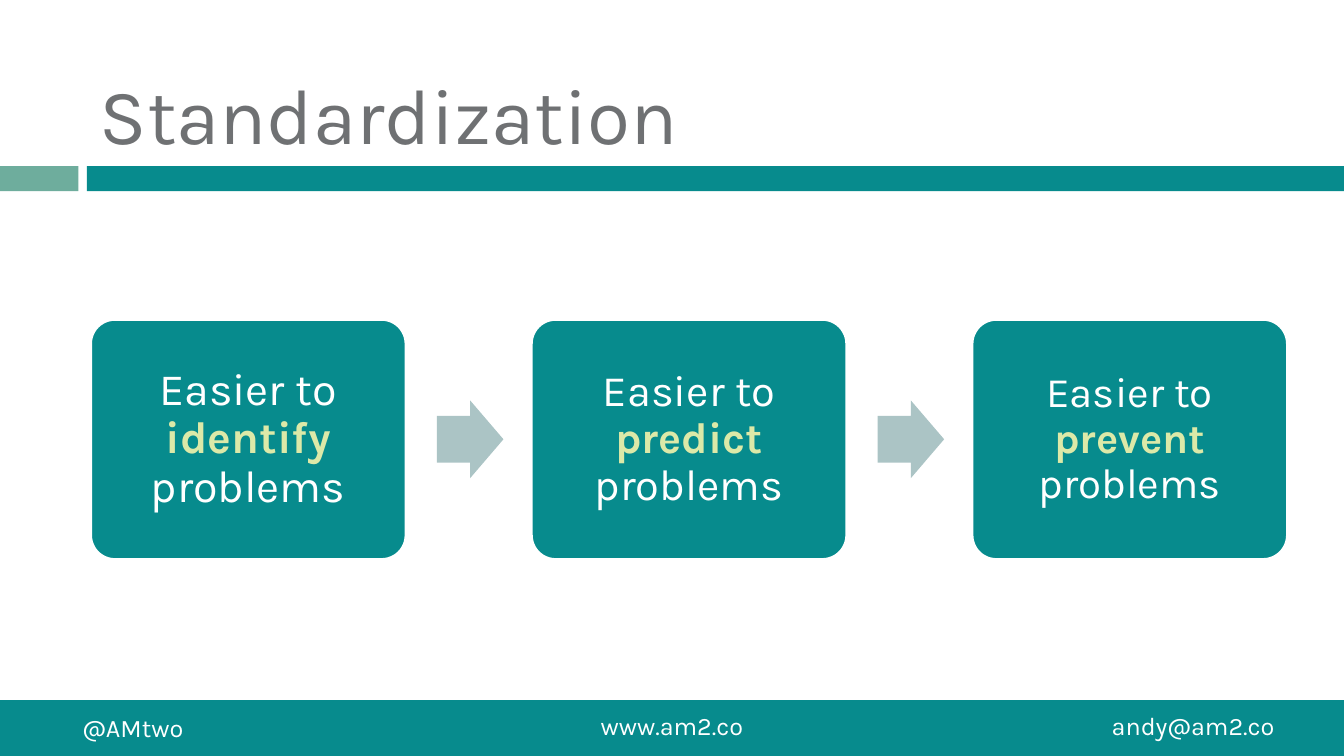
"""Build the Standardization slide: three linked benefit cards between a title bar and a footer."""
from dataclasses import dataclass

from pptx import Presentation
from pptx.dml.color import RGBColor
from pptx.enum.shapes import MSO_SHAPE
from pptx.enum.text import MSO_ANCHOR, MSO_AUTO_SIZE, PP_ALIGN
from pptx.util import Pt

RECTANGLE = MSO_SHAPE.RECTANGLE
ROUNDED = MSO_SHAPE.ROUNDED_RECTANGLE
ARROW = MSO_SHAPE.RIGHT_ARROW
LEFT, CENTER = PP_ALIGN.LEFT, PP_ALIGN.CENTER
MIDDLE, BOTTOM = MSO_ANCHOR.MIDDLE, MSO_ANCHOR.BOTTOM
NO_AUTOFIT = MSO_AUTO_SIZE.NONE


@dataclass(frozen=True)
class Theme:
    font: str = "Karla"
    teal: str = "078B8D"
    sage: str = "6EAD9D"
    mist: str = "ABC4C5"
    lime: str = "DCE9A8"
    gray: str = "6F7173"
    white: str = "FFFFFF"
    title_size: int = 56
    footer_size: int = 18
    card_sizes: tuple = (32, 31, 30)


theme = Theme()


def add_block(kind, left, top, width, height, color):
    block = slide.shapes.add_shape(kind, Pt(left), Pt(top), Pt(width), Pt(height))
    block.shadow.inherit = False
    block.fill.solid()
    block.fill.fore_color.rgb = RGBColor.from_string(color)
    block.line.fill.background()
    return block


def style_text(paragraph, size, color, align):
    paragraph.alignment = align
    paragraph.font.size = Pt(size)
    for run in paragraph.runs:
        run.font.name = theme.font
        run.font.size = Pt(size)
        run.font.color.rgb = RGBColor.from_string(color)


prs = Presentation()
prs.slide_width, prs.slide_height = Pt(960), Pt(540)
slide = prs.slides.add_slide(prs.slide_layouts[5])

add_block(RECTANGLE, 0, 118.6, 56, 18, theme.sage)
add_block(RECTANGLE, 62, 118.6, 898, 18, theme.teal)
add_block(RECTANGLE, 0, 500.2, 960, 39.8, theme.teal)

contacts = [
    ("@AMtwo", 51.8, 505.6, 93.6, LEFT),
    ("www.am2.co", 413.3, 504, 133.2, CENTER),
    ("andy@am2.co", 787, 504, 133.2, LEFT),
]
for contact, left, top, width, align in contacts:
    footer = slide.shapes.add_textbox(Pt(left), Pt(top), Pt(width), Pt(28.8)).text_frame
    footer.word_wrap = True
    footer.text = contact
    style_text(footer.paragraphs[0], theme.footer_size, theme.white, align)

title = slide.shapes.title
title.left, title.top, title.width, title.height = Pt(64), Pt(12.2), Pt(856), Pt(106)
heading = title.text_frame
heading.text = "Standardization"
heading.auto_size = NO_AUTOFIT
heading.vertical_anchor = BOTTOM
style_text(heading.paragraphs[0], theme.title_size, theme.gray, LEFT)

card_left, card_step = 65, 314.8
verbs = ["identify", "predict", "prevent"]
for index, (verb, size) in enumerate(zip(verbs, theme.card_sizes)):
    left = card_left + index * card_step
    if index:
        arrow = add_block(ARROW, left - 67.8, 286, 47.6, 55.6, theme.mist)
        arrow.adjustments[0] = 0.6
        arrow.adjustments[1] = 0.5

    card = add_block(ROUNDED, left, 228.4, 224.8, 171, theme.teal)
    card.adjustments[0] = 0.1
    card.line.color.rgb = RGBColor.from_string(theme.white)
    card.line.width = Pt(1.5)

    benefit = card.text_frame
    benefit.word_wrap = True
    benefit.vertical_anchor = MIDDLE
    benefit.margin_left = benefit.margin_right = Pt(9)
    benefit.margin_top = benefit.margin_bottom = Pt(9)
    sentence = benefit.paragraphs[0]
    sentence.text = f"Easier to\v{verb}\vproblems"
    sentence.line_spacing = 0.9
    style_text(sentence, size, theme.white, CENTER)
    emphasis = sentence.runs[1].font
    emphasis.bold = True
    emphasis.color.rgb = RGBColor.from_string(theme.lime)

prs.save("out.pptx")
